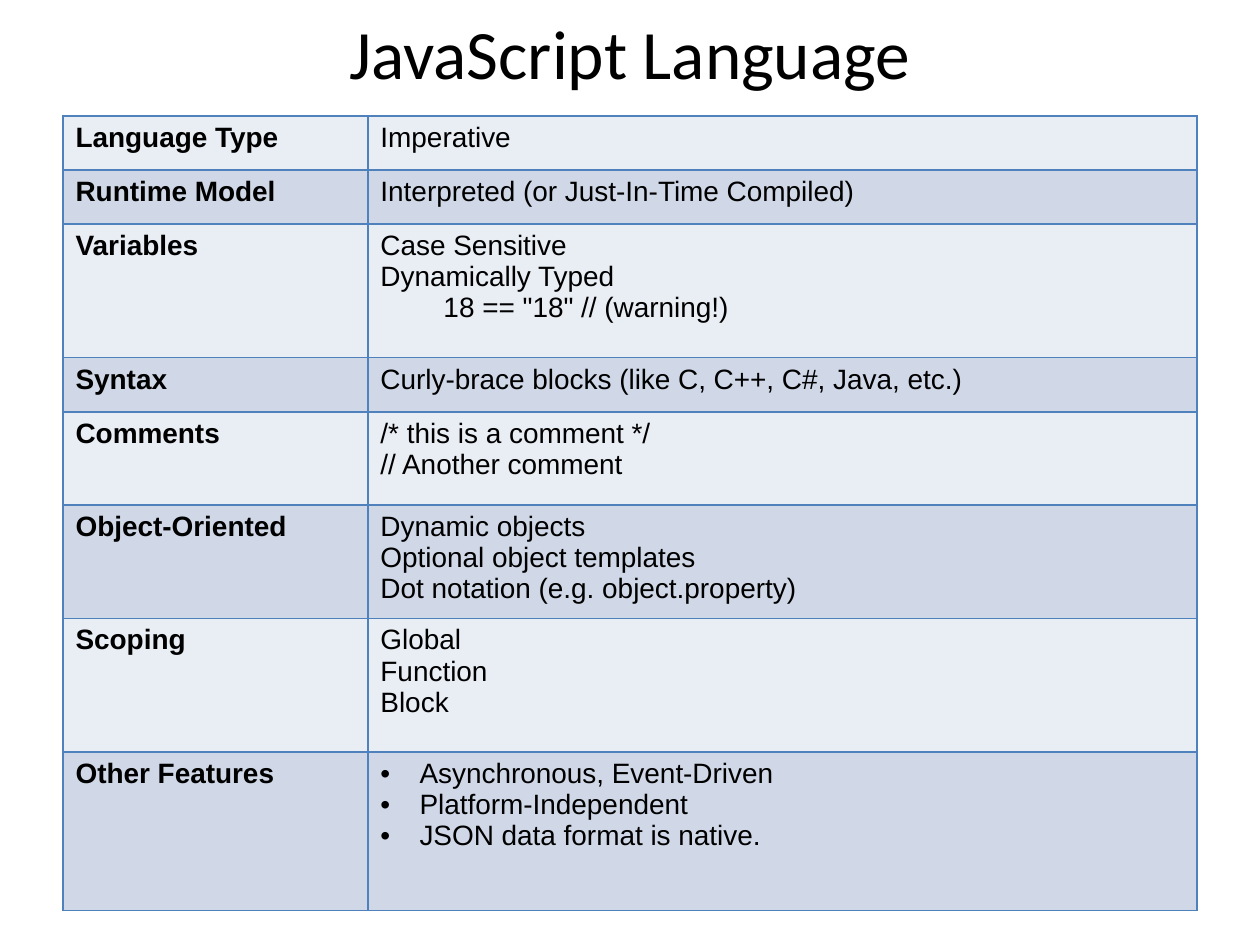
"""Build the JavaScript language overview slide."""
import lxml.etree
import pptx
import pptx.dml.color
import pptx.enum.text
import pptx.oxml.ns
import pptx.util

COLORS = {"text": "000000", "odd": "E9EDF4", "even": "D0D8E8", "border": "4F81BD"}
SLIDE_WIDTH = pptx.util.Inches(10)
SLIDE_HEIGHT = pptx.util.Inches(7.5)
COLUMN_SHARES = (0.242, 0.658)
PLAIN, INDENTED, BULLETED = "plain", "indented", "bulleted"
FEATURES = [
    ("Language Type", 0.43, [("Imperative", PLAIN)]),
    ("Runtime Model", 0.43, [("Interpreted (or Just-In-Time Compiled)", PLAIN)]),
    ("Variables", 1.06, [
        ("Case Sensitive", PLAIN),
        ("Dynamically Typed", PLAIN),
        ('18 == "18" // (warning!)', INDENTED),
    ]),
    ("Syntax", 0.43, [("Curly-brace blocks (like C, C++, C#, Java, etc.)", PLAIN)]),
    ("Comments", 0.74, [
        ("/* this is a comment */", PLAIN),
        ("// Another comment", PLAIN),
    ]),
    ("Object-Oriented", 0.84, [
        ("Dynamic objects", PLAIN),
        ("Optional object templates", PLAIN),
        ("Dot notation (e.g. object.property)", PLAIN),
    ]),
    ("Scoping", 1.06, [("Global", PLAIN), ("Function", PLAIN), ("Block", PLAIN)]),
    ("Other Features", 1.26, [
        ("Asynchronous, Event-Driven", BULLETED),
        ("Platform-Independent", BULLETED),
        ("JSON data format is native.", BULLETED),
    ]),
]


def share_x(share):
    """Return a share of the slide width."""
    return int(SLIDE_WIDTH * share)


def share_y(share):
    """Return a share of the slide height."""
    return int(SLIDE_HEIGHT * share)


def add_child(parent, tag, **attributes):
    """Append a drawing element to a parent element."""
    return lxml.etree.SubElement(parent, pptx.oxml.ns.qn(tag), attributes)


def add_span(para, text, font_name, size, bold=False):
    """Add one formatted run to a paragraph."""
    span = para.add_run()
    span.text = text
    span.font.name = font_name
    span.font.size = pptx.util.Pt(size)
    span.font.bold = bold
    span.font.color.rgb = pptx.dml.color.RGBColor.from_string(COLORS["text"])


def set_indent(para, style):
    """Give a paragraph the indent or bullet of its style."""
    properties = para._p.get_or_add_pPr()
    if style == INDENTED:
        para.level = 1
        properties.set("marL", str(pptx.util.Inches(0.5)))
    elif style == BULLETED:
        hang = pptx.util.Inches(0.31)
        properties.set("marL", str(hang))
        properties.set("indent", str(-hang))
        add_child(properties, "a:buFont", typeface="Arial")
        add_child(properties, "a:buChar", char="•")


def add_borders(cell):
    """Draw a thin line on all four sides of a cell."""
    properties = cell._tc.get_or_add_tcPr()
    for side in "LRTB":
        line = add_child(properties, f"a:ln{side}", w=str(pptx.util.Pt(1)))
        fill = add_child(line, "a:solidFill")
        add_child(fill, "a:srgbClr", val=COLORS["border"])


def fill_cell(cell, lines, color, bold=False):
    """Style a cell and write its lines as paragraphs."""
    add_borders(cell)
    cell.fill.solid()
    cell.fill.fore_color.rgb = pptx.dml.color.RGBColor.from_string(color)
    frame = cell.text_frame
    for index, (text, style) in enumerate(lines):
        para = frame.add_paragraph() if index else frame.paragraphs[0]
        set_indent(para, style)
        add_span(para, text, "Arial", 16, bold)


def add_title(page, text):
    """Add the centred slide title."""
    box = page.shapes.add_textbox(
        share_x(0.05), share_y(0.01), share_x(0.9), share_y(0.09))
    frame = box.text_frame
    frame.word_wrap = True
    frame.vertical_anchor = pptx.enum.text.MSO_ANCHOR.MIDDLE
    para = frame.paragraphs[0]
    para.alignment = pptx.enum.text.PP_ALIGN.CENTER
    add_span(para, text, "Calibri", 39.6)


def add_feature_table(page):
    """Add the table of language features with alternating row fills."""
    height = pptx.util.Inches(sum(feature[1] for feature in FEATURES))
    table = page.shapes.add_table(
        len(FEATURES), len(COLUMN_SHARES),
        share_x(0.05), share_y(0.1225), share_x(sum(COLUMN_SHARES)), height).table
    table.first_row = False
    table.horz_banding = False
    for column, share in zip(table.columns, COLUMN_SHARES):
        column.width = share_x(share)
    for index, (label, row_height, lines) in enumerate(FEATURES):
        table.rows[index].height = pptx.util.Inches(row_height)
        color = COLORS["even" if index % 2 else "odd"]
        fill_cell(table.cell(index, 0), [(label, PLAIN)], color, bold=True)
        fill_cell(table.cell(index, 1), lines, color)


def main():
    """Create the deck and save it."""
    deck = pptx.Presentation()
    deck.slide_width = SLIDE_WIDTH
    deck.slide_height = SLIDE_HEIGHT
    page = deck.slides.add_slide(deck.slide_layouts[6])
    add_title(page, "JavaScript Language")
    add_feature_table(page)
    deck.save("out.pptx")


if __name__ == "__main__":
    main()
